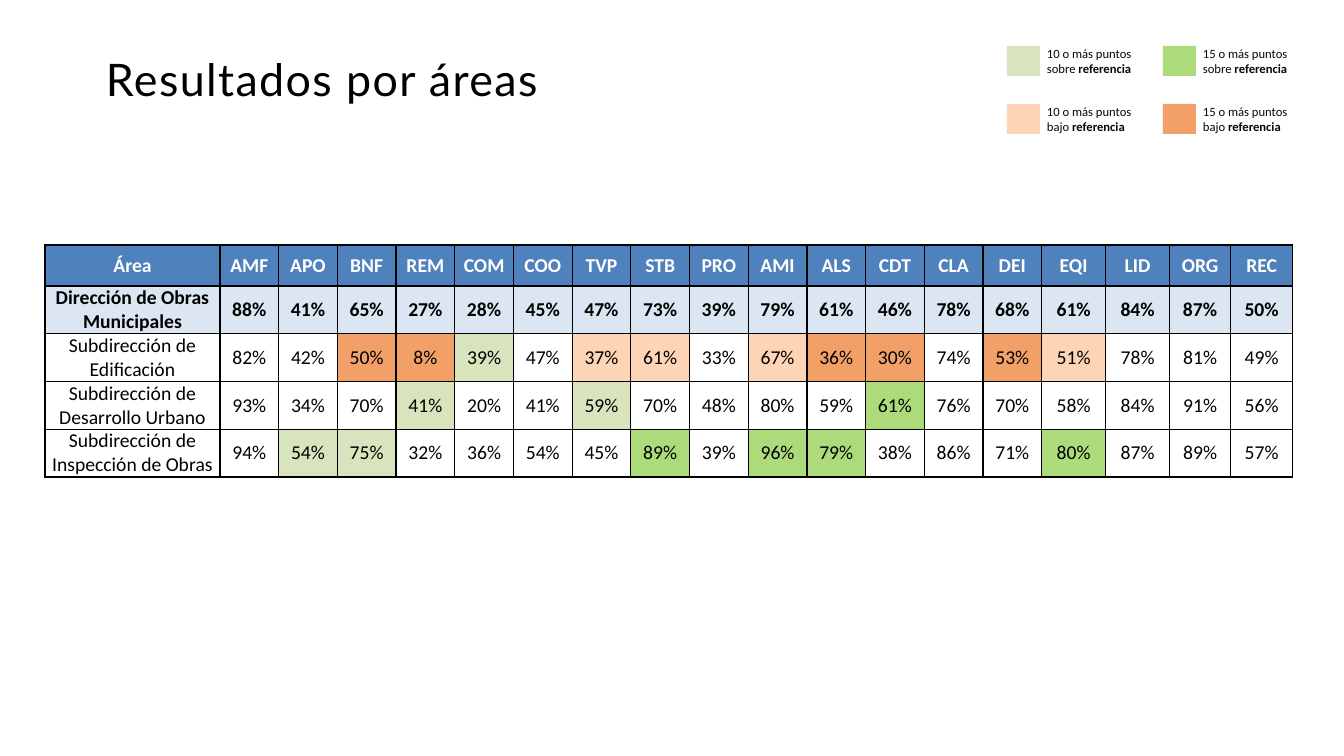
import pptx
import pptx.dml.color
import pptx.enum.shapes
import pptx.enum.text
import pptx.oxml
import pptx.oxml.ns
import pptx.util

EMU_PER_PX = 914400 / 100.8
ANCHOR = pptx.enum.text.MSO_ANCHOR
ALIGN = pptx.enum.text.PP_ALIGN

HEADER_FILL, REFERENCE_FILL = "4F81BD", "DCE6F2"
# (column, row) in the legend: points from the reference, direction, fill
LEGEND = {
    (0, 0): (10, "sobre", "D7E4BD"),
    (1, 0): (15, "sobre", "ADDB7B"),
    (0, 1): (10, "bajo", "FDD4B5"),
    (1, 1): (15, "bajo", "F2A068"),
}
DIFFERENCE_FILLS = {(points, direction): fill for points, direction, fill in LEGEND.values()}

CODES = "AMF APO BNF REM COM COO TVP STB PRO AMI ALS CDT CLA DEI EQI LID ORG REC".split()
RESULTS = {
    "Dirección de Obras Municipales":
        [88, 41, 65, 27, 28, 45, 47, 73, 39, 79, 61, 46, 78, 68, 61, 84, 87, 50],
    "Subdirección de Edificación":
        [82, 42, 50, 8, 39, 47, 37, 61, 33, 67, 36, 30, 74, 53, 51, 78, 81, 49],
    "Subdirección de Desarrollo Urbano":
        [93, 34, 70, 41, 20, 41, 59, 70, 48, 80, 59, 61, 76, 70, 58, 84, 91, 56],
    "Subdirección de Inspección de Obras":
        [94, 54, 75, 32, 36, 54, 45, 89, 39, 96, 79, 38, 86, 71, 80, 87, 89, 57],
}
REFERENCE = next(iter(RESULTS.values()))


def px(length):
    return pptx.util.Emu(round(length * EMU_PER_PX))


def color(value):
    return pptx.dml.color.RGBColor.from_string(value)


def set_attributes(target, values):
    for name, value in values.items():
        setattr(target, name, value)


def set_font(font, name, size, fill, bold=False):
    set_attributes(font, {"name": name, "size": pptx.util.Pt(size), "bold": bold})
    font.color.rgb = color(fill)


def place_title(slide, left, top, width, height):
    title = slide.shapes.title
    set_attributes(title, {"left": px(left), "top": px(top),
                           "width": px(width), "height": px(height)})
    set_attributes(title.text_frame, {
        "margin_left": 0, "margin_top": 0, "margin_right": 0, "margin_bottom": 0,
        "vertical_anchor": ANCHOR.MIDDLE, "word_wrap": True,
        "auto_size": pptx.enum.text.MSO_AUTO_SIZE.NONE,
    })
    paragraph = title.text_frame.paragraphs[0]
    set_attributes(paragraph, {"alignment": ALIGN.LEFT, "line_spacing": 0.9})
    run = paragraph.add_run()
    run.text = "Resultados por áreas"
    set_font(run.font, "Lato", 32, "000000")
    run.font._element.set("spc", "100")


def add_legend_entry(slide, left, top, points, direction, fill):
    swatch = slide.shapes.add_shape(pptx.enum.shapes.MSO_SHAPE.RECTANGLE,
                                    px(left), px(top), px(33), px(30))
    swatch.shadow.inherit = False
    swatch.fill.solid()
    swatch.fill.fore_color.rgb = color(fill)
    swatch.line.fill.background()

    label = slide.shapes.add_textbox(px(left + 30), px(top - 5), px(113), px(40))
    label.text_frame.word_wrap = True
    paragraph = label.text_frame.paragraphs[0]
    for text, bold in ((f"{points} o más puntos {direction} ", False), ("referencia", True)):
        run = paragraph.add_run()
        run.text = text
        set_font(run.font, "Calibri", 9, "07080B", bold)


def add_legend(slide, left, top, column_step, row_step):
    for (column, row), entry in LEGEND.items():
        add_legend_entry(slide, left + column * column_step, top + row * row_step, *entry)


def difference_fill(value, reference):
    """Return the legend fill for a result, or None when it is near the reference."""
    difference = value - reference
    direction = "sobre" if difference > 0 else "bajo"
    for points in (15, 10):
        if abs(difference) >= points:
            return DIFFERENCE_FILLS[points, direction]
    return None


def add_borders(cell):
    properties = cell._tc.get_or_add_tcPr()
    for side in ("lnL", "lnR", "lnT", "lnB"):
        properties.append(pptx.oxml.parse_xml(
            f'<a:{side} {pptx.oxml.ns.nsdecls("a")} w="12700">'
            f'<a:solidFill><a:srgbClr val="000000"/></a:solidFill></a:{side}>'))


def fill_cell(cell, text, fill, font_color="000000", bold=False):
    set_attributes(cell, {"margin_left": 0, "margin_top": 0, "margin_right": 0,
                          "margin_bottom": 0, "vertical_anchor": ANCHOR.MIDDLE})
    add_borders(cell)
    if fill:
        cell.fill.solid()
        cell.fill.fore_color.rgb = color(fill)
    else:
        cell.fill.background()
    paragraph = cell.text_frame.paragraphs[0]
    paragraph.alignment = ALIGN.CENTER
    run = paragraph.add_run()
    run.text = text
    set_font(run.font, "Calibri", 14, font_color, bold)


def add_results_table(slide, left, top, width, height):
    area_width, last_widths, header_height = 175, [64, 64, 61, 62], 41
    equal_columns = len(CODES) - len(last_widths)
    equal_width = (width - area_width - sum(last_widths)) / equal_columns
    row_height = (height - header_height) / len(RESULTS)

    table = slide.shapes.add_table(len(RESULTS) + 1, len(CODES) + 1,
                                   px(left), px(top), px(width), px(height)).table
    set_attributes(table, {"first_row": False, "horz_banding": False})
    for column, column_width in zip(
            table.columns, [area_width] + [equal_width] * equal_columns + last_widths):
        column.width = px(column_width)
    for row, size in zip(table.rows, [header_height] + [row_height] * len(RESULTS)):
        row.height = px(size)

    for column, text in enumerate(["Área"] + CODES):
        fill_cell(table.cell(0, column), text, HEADER_FILL, "FFFFFF", bold=True)
    for row, (area, values) in enumerate(RESULTS.items(), start=1):
        is_reference = values is REFERENCE
        row_fill = REFERENCE_FILL if is_reference else None
        fill_cell(table.cell(row, 0), area, row_fill, bold=is_reference)
        for column, (value, reference) in enumerate(zip(values, REFERENCE), start=1):
            fill_cell(table.cell(row, column), f"{value}%",
                      row_fill or difference_fill(value, reference), bold=is_reference)


def main():
    presentation = pptx.Presentation()
    set_attributes(presentation, {"slide_width": px(1344), "slide_height": px(756)})
    slide = presentation.slides.add_slide(presentation.slide_layouts[5])
    add_results_table(slide, 45, 245, 1248, 232)
    place_title(slide, 106, 41, 646, 82)
    add_legend(slide, 1007, 46, 156, 58)
    presentation.save("out.pptx")


if __name__ == "__main__":
    main()
